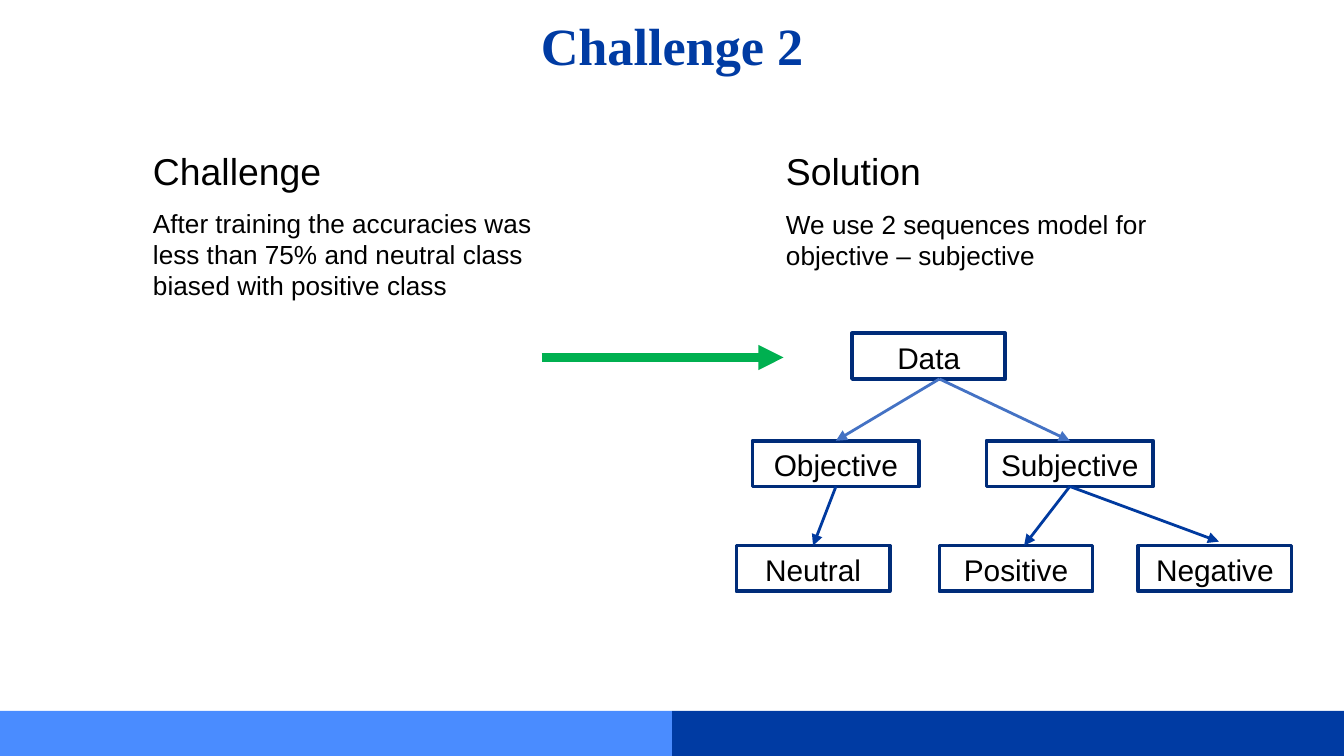
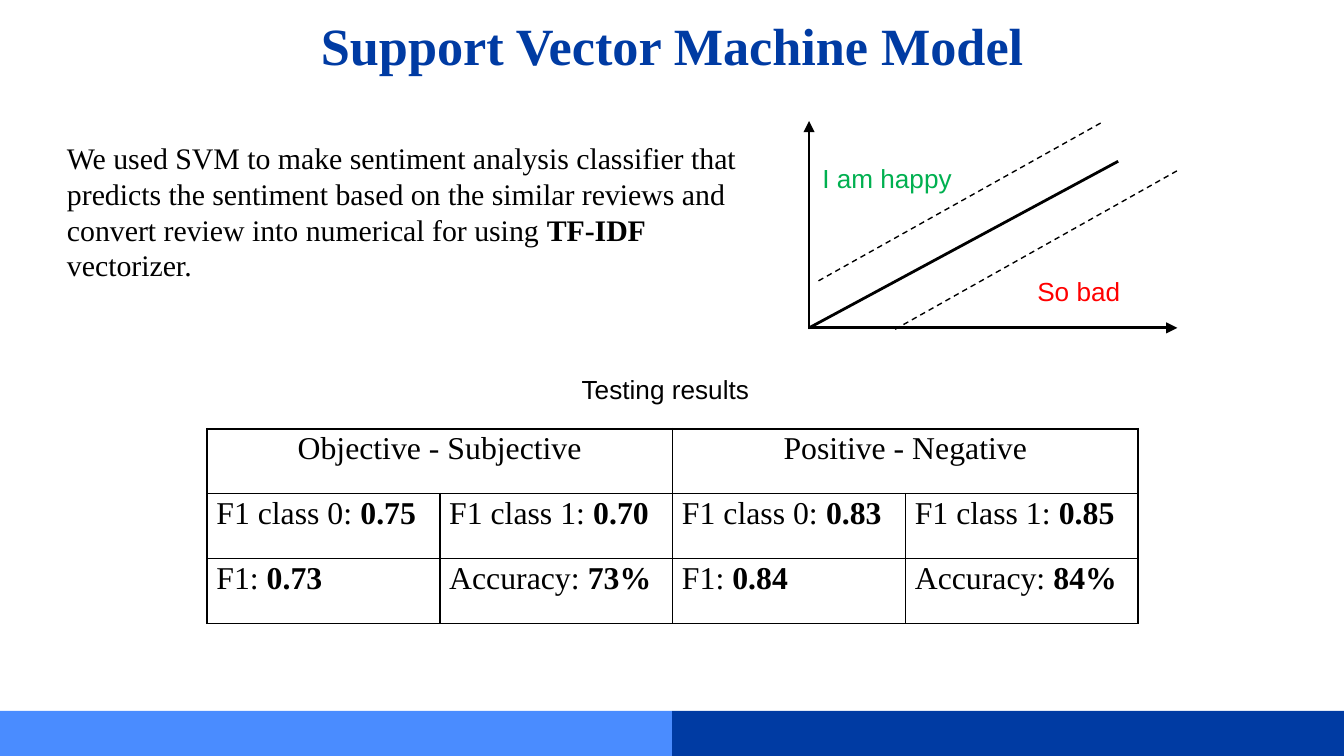
from typing import NamedTuple, Optional

from lxml.etree import SubElement
from pptx import Presentation
from pptx.dml.color import RGBColor
from pptx.enum.dml import MSO_LINE
from pptx.enum.shapes import MSO_CONNECTOR, MSO_SHAPE
from pptx.enum.text import MSO_ANCHOR, MSO_AUTO_SIZE, PP_ALIGN
from pptx.oxml.ns import qn
from pptx.util import Inches, Pt

WIDTH = 10
HEIGHT = WIDTH * 9 / 16
BAND_TOP = 5.29
SERIF, SANS = "Times New Roman", "Arial"
NAVY, SKY = "003BA3", "4A8CFF"
BOX_LINE, BRANCH, LEAF = "002C79", "4472C4", "003A9F"
GREEN, RED, BLACK, WHITE = "00B050", "FF0000", "000000", "FFFFFF"
TOP, BOTTOM = 0, 2


class Label(NamedTuple):
    text: str
    left: float
    top: float
    width: float
    height: float
    size: float = 14
    font: str = SANS
    color: str = BLACK


class Node(NamedTuple):
    text: str
    left: float
    top: float
    width: float = 1.14


class Line(NamedTuple):
    start: tuple
    end: tuple
    color: str = BLACK
    weight: float = 1.5
    arrow: bool = False
    dashed: bool = False
    source: Optional[str] = None
    target: Optional[str] = None


COLUMNS = [
    Label("Challenge", 1.04, 1.05, 3.23, 0.44, 20),
    Label("Solution", 5.75, 1.05, 3.23, 0.44, 20),
    Label("After training the accuracies was less than 75% and neutral class "
          "biased with positive class", 1.04, 1.49, 3.23, 0.81),
    Label("We use 2 sequences model for objective – subjective",
          5.75, 1.5, 3.23, 0.57),
]
NODE_HEIGHT = 0.34
NODES = [
    Node("Data", 6.34, 2.48),
    Node("Objective", 5.6, 3.28, 1.24),
    Node("Subjective", 7.34, 3.28, 1.24),
    Node("Neutral", 5.48, 4.06),
    Node("Positive", 6.99, 4.06),
    Node("Negative", 8.47, 4.06),
]
# Only ends that meet the middle of a box side name that box.
TREE_LINES = [
    Line((4.03, 2.66), (5.83, 2.66), GREEN, 4.5, True),
    Line((6.99, 2.82), (6.22, 3.28), BRANCH, arrow=True, target="Objective"),
    Line((6.99, 2.82), (7.96, 3.28), BRANCH, arrow=True, target="Subjective"),
    Line((6.22, 3.62), (6.05, 4.06), LEAF, arrow=True,
         source="Objective", target="Neutral"),
    Line((7.96, 3.62), (7.62, 4.06), LEAF, arrow=True, source="Subjective"),
    Line((7.96, 3.62), (9.07, 4.03), LEAF, arrow=True, source="Subjective"),
]

ORIGIN = (6.02, 2.44)
PLOT_LINES = [
    Line(ORIGIN, (8.76, 2.44), arrow=True),
    Line((6.02, 2.45), (6.02, 0.9), arrow=True),
    Line(ORIGIN, (8.32, 1.2)),
    Line((6.09, 2.09), (8.2, 0.91), weight=0.75, dashed=True),
    Line((6.66, 2.45), (8.76, 1.27), weight=0.75, dashed=True),
]
MODEL_LABELS = [
    Label("We used SVM to make sentiment analysis classifier that predicts the "
          "sentiment based on the similar reviews and convert review into "
          "numerical for using **TF-IDF** vectorizer.",
          0.4, 0.99, 5.18, 1.18, 16, SERIF),
    Label("Testing results", 4.23, 2.73, 1.54, 0.34),
    Label("I am happy", 6.02, 1.16, 1.53, 0.34, color=GREEN),
    Label("So bad", 7.62, 2, 0.84, 0.34, color=RED),
]
RESULT_GROUPS = ["Objective - Subjective", "Positive - Negative"]
RESULTS = [
    ["F1 class 0: **0.75**", "F1 class 1: **0.70**",
     "F1 class 0: **0.83**", "F1 class 1: **0.85**"],
    ["F1: **0.73**", "Accuracy: **73%**", "F1: **0.84**", "Accuracy: **84%**"],
]


def rgb(color: str) -> RGBColor:
    return RGBColor.from_string(color)


def write(frame, text: str, *, size: float, font: str = SANS, color: str = BLACK,
          bold: bool = False, align=PP_ALIGN.LEFT, spacing: float = 1,
          after: float = 0) -> None:
    """Fill a text frame; words between double asterisks are bold."""
    para = frame.paragraphs[0]
    para.alignment = align
    para.line_spacing = spacing
    para.space_before, para.space_after = Pt(0), Pt(after)
    for index, part in enumerate(text.split("**")):
        if not part:
            continue
        span = para.add_run()
        span.text = part
        span.font.name, span.font.size = font, Pt(size)
        span.font.bold = bold or index % 2 == 1
        span.font.color.rgb = rgb(color)


def add_box(page, left: float, top: float, width: float, height: float,
            fill: str, line: Optional[str] = None):
    box = page.shapes.add_shape(MSO_SHAPE.RECTANGLE, Inches(left), Inches(top),
                                Inches(width), Inches(height))
    box.shadow.inherit = False
    box.fill.solid()
    box.fill.fore_color.rgb = rgb(fill)
    if line:
        box.line.color.rgb = rgb(line)
        box.line.width = Pt(2)
    else:
        box.line.fill.background()
    return box


def add_page(deck, title: str):
    page = deck.slides.add_slide(deck.slide_layouts[5])
    for left, color in ((WIDTH / 2, NAVY), (0, SKY)):
        add_box(page, left, BAND_TOP, WIDTH / 2, HEIGHT - BAND_TOP, color)
    heading = page.shapes.title
    heading.left, heading.top = Inches(0), Inches(0)
    heading.width, heading.height = Inches(WIDTH), Inches(0.63)
    frame = heading.text_frame
    frame.auto_size = MSO_AUTO_SIZE.NONE
    frame.vertical_anchor = MSO_ANCHOR.TOP
    frame.margin_left = frame.margin_right = Inches(0.1)
    frame.margin_top = frame.margin_bottom = Inches(0.1)
    write(frame, title, size=28, font=SERIF, color=NAVY, bold=True,
          align=PP_ALIGN.CENTER)
    return page


def add_label(page, label: Label) -> None:
    box = page.shapes.add_textbox(Inches(label.left), Inches(label.top),
                                  Inches(label.width), Inches(label.height))
    box.text_frame.word_wrap = True
    box.text_frame.auto_size = MSO_AUTO_SIZE.SHAPE_TO_FIT_TEXT
    write(box.text_frame, label.text, size=label.size, font=label.font,
          color=label.color)


def add_node(page, node: Node):
    box = add_box(page, node.left, node.top, node.width, NODE_HEIGHT,
                  WHITE, BOX_LINE)
    box.text_frame.vertical_anchor = MSO_ANCHOR.MIDDLE
    write(box.text_frame, node.text, size=16, align=PP_ALIGN.CENTER,
          spacing=1.07, after=2)
    return box


def add_line(page, line: Line, boxes: Optional[dict] = None) -> None:
    points = [Inches(value) for value in (*line.start, *line.end)]
    connector = page.shapes.add_connector(MSO_CONNECTOR.STRAIGHT, *points)
    if line.source:
        connector.begin_connect(boxes[line.source], BOTTOM)
    if line.target:
        connector.end_connect(boxes[line.target], TOP)
    connector.line.color.rgb = rgb(line.color)
    connector.line.width = Pt(line.weight)
    if line.dashed:
        connector.line.dash_style = MSO_LINE.DASH
    properties = connector.element.spPr
    if line.arrow:
        SubElement(properties.find(qn("a:ln")), qn("a:tailEnd"), type="triangle")
    SubElement(properties, qn("a:effectLst"))


def format_cell(cell) -> None:
    properties = cell._tc.get_or_add_tcPr()
    for side in ("a:lnL", "a:lnR", "a:lnT", "a:lnB"):
        border = SubElement(properties, qn(side), w=str(Pt(1)))
        fill = SubElement(border, qn("a:solidFill"))
        SubElement(fill, qn("a:srgbClr"), val=BLACK)
    cell.fill.background()
    cell.margin_left = cell.margin_right = Inches(0.07)
    cell.margin_top = cell.margin_bottom = 0


def add_results(page) -> None:
    rows, columns = len(RESULTS) + 1, len(RESULTS[0])
    table = page.shapes.add_table(rows, columns, Inches(1.54), Inches(3.19),
                                  Inches(6.93), Inches(1.45)).table
    table.first_row = table.horz_banding = False
    for cell in table.iter_cells():
        format_cell(cell)
    for index, group in enumerate(RESULT_GROUPS):
        cell = table.cell(0, 2 * index)
        cell.merge(table.cell(0, 2 * index + 1))
        write(cell.text_frame, group, size=17, font=SERIF,
              align=PP_ALIGN.CENTER, spacing=1.07, after=2)
    for row, results in enumerate(RESULTS, start=1):
        for column, result in enumerate(results):
            write(table.cell(row, column).text_frame, result, size=17,
                  font=SERIF, spacing=1.07, after=2)


def build_challenge(deck) -> None:
    page = add_page(deck, "Challenge 2")
    for label in COLUMNS:
        add_label(page, label)
    boxes = {node.text: add_node(page, node) for node in NODES}
    for line in TREE_LINES:
        add_line(page, line, boxes)


def build_model(deck) -> None:
    page = add_page(deck, "Support Vector Machine Model")
    add_results(page)
    for line in PLOT_LINES:
        add_line(page, line)
    for label in MODEL_LABELS:
        add_label(page, label)


def main() -> None:
    deck = Presentation()
    deck.slide_width, deck.slide_height = Inches(WIDTH), Inches(HEIGHT)
    build_challenge(deck)
    build_model(deck)
    deck.save("out.pptx")


if __name__ == "__main__":
    main()
